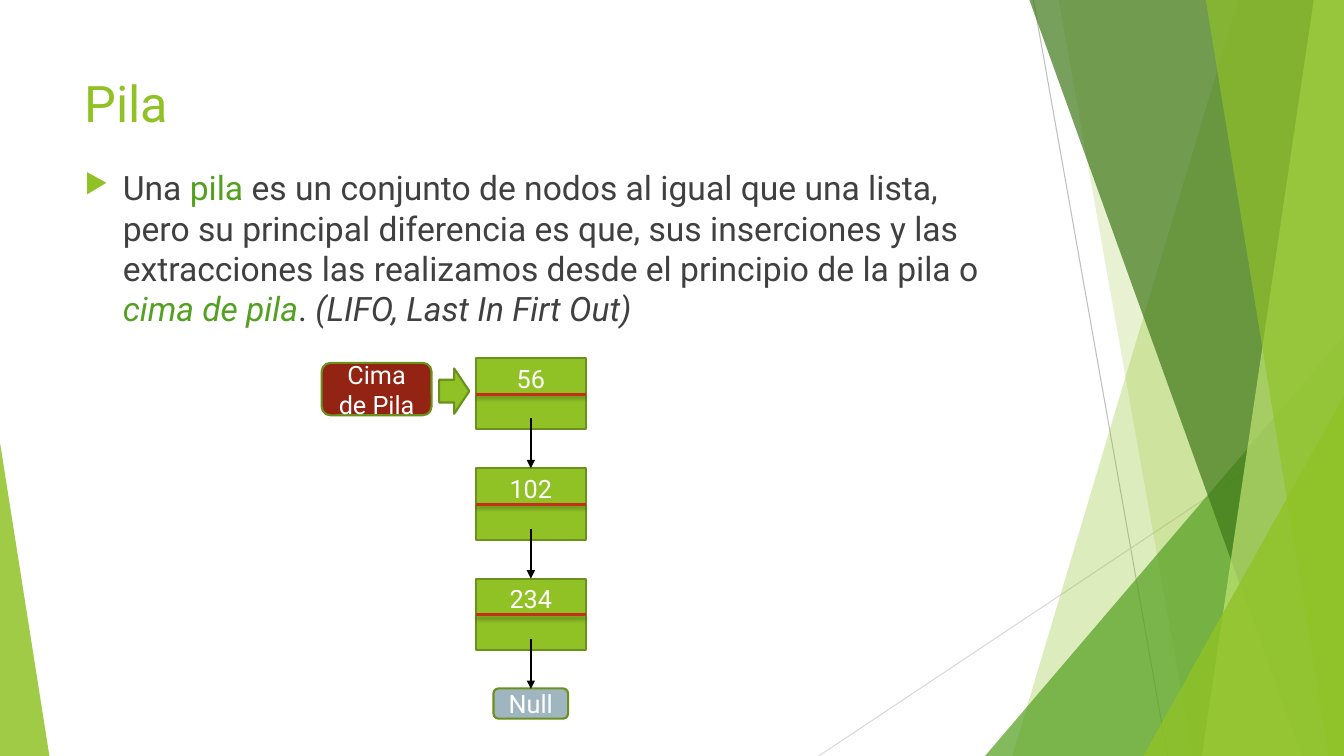
from lxml.etree import SubElement
from pptx import Presentation
from pptx.dml.color import RGBColor
from pptx.enum.shapes import MSO_CONNECTOR, MSO_SHAPE
from pptx.enum.text import MSO_ANCHOR, PP_ALIGN
from pptx.oxml.ns import qn
from pptx.util import Inches, Pt

FONT = "Roboto"
GREEN = RGBColor(0x90, 0xC2, 0x26)
MID_GREEN = RGBColor(0x54, 0xA0, 0x21)
DARK_GREEN = RGBColor(0x3F, 0x78, 0x19)
LIGHT_GREEN = RGBColor(0xC0, 0xE4, 0x74)
OUTLINE = RGBColor(0x6B, 0x90, 0x1C)
DARK_RED = RGBColor(0x93, 0x23, 0x13)
RED = RGBColor(0xC4, 0x2F, 0x1A)
BLUE_GRAY = RGBColor(0x9F, 0xB6, 0xC0)
TEXT = RGBColor(0x40, 0x40, 0x40)
GRAY = RGBColor(0xBF, 0xBF, 0xBF)
PALE_GRAY = RGBColor(0xD9, 0xD9, 0xD9)
WHITE = RGBColor(0xFF, 0xFF, 0xFF)
BLACK = RGBColor(0, 0, 0)
WIDTH, HEIGHT = 13.33, 7.5


def set_fill(sp, color, alpha=100):
    """Fill a shape with a colour at the given opacity in percent."""
    sp.shadow.inherit = False
    sp.fill.solid()
    sp.fill.fore_color.rgb = color
    if alpha < 100:
        clr = sp.fill._xPr.find(qn("a:solidFill"))[0]
        SubElement(clr, qn("a:alpha"), val=str(alpha * 1000))


def set_font(r, size, color, italic=False):
    """Format one run."""
    r.font.name = FONT
    r.font.size = Pt(size)
    r.font.color.rgb = color
    r.font.italic = italic


def add_line(slide, start, end, color, width, arrow=False, shadow=False):
    """Draw a straight line, with an optional arrowhead or soft shadow."""
    line = slide.shapes.add_connector(
        MSO_CONNECTOR.STRAIGHT, *(Inches(v) for v in (*start, *end)))
    line.line.color.rgb = color
    line.line.width = Pt(width)
    spPr = line._element.spPr
    if arrow:
        SubElement(spPr.find(qn("a:ln")), qn("a:tailEnd"), type="triangle")
    effects = SubElement(spPr, qn("a:effectLst"))
    if shadow:
        outer = SubElement(effects, qn("a:outerShdw"), blurRad=str(Pt(3)),
                           dist=str(Pt(2)), dir="5400000", rotWithShape="0")
        clr = SubElement(outer, qn("a:srgbClr"), val=str(BLACK))
        SubElement(clr, qn("a:alpha"), val="35000")


def add_box(slide, kind, box, color, text="", anchor=MSO_ANCHOR.MIDDLE):
    """Add an outlined shape with centred white text."""
    sp = slide.shapes.add_shape(kind, *(Inches(v) for v in box))
    set_fill(sp, color)
    sp.line.color.rgb = OUTLINE
    sp.line.width = Pt(1.5)
    if text:
        tf = sp.text_frame
        tf.word_wrap = True
        tf.vertical_anchor = anchor
        tf.text = text
        p = tf.paragraphs[0]
        p.alignment = PP_ALIGN.CENTER
        set_font(p.runs[0], 18, WHITE)
    return sp


def add_band(slide, top_x, bottom_x, color, alpha):
    """Add a full-height band from a slanted left edge to the right side."""
    points = [(top_x, 0), (WIDTH, 0), (WIDTH, HEIGHT), (bottom_x, HEIGHT)]
    points = [(Inches(x), Inches(y)) for x, y in points]
    builder = slide.shapes.build_freeform(*points[0])
    builder.add_line_segments(points[1:], close=True)
    sp = builder.convert_to_shape()
    set_fill(sp, color, alpha)
    sp.line.fill.background()


def add_corner(slide, left, top, width, apex, color, alpha):
    """Add a right triangle standing on the bottom edge of the slide."""
    sp = slide.shapes.add_shape(
        MSO_SHAPE.ISOSCELES_TRIANGLE, Inches(left), Inches(top),
        Inches(width), Inches(HEIGHT - top))
    sp.adjustments[0] = apex
    set_fill(sp, color, alpha)
    sp.line.fill.background()


def add_facets(slide):
    """Draw the green decoration along both sides."""
    add_line(slide, (10.25, 0), (11.58, HEIGHT), GRAY, 0.75)
    add_line(slide, (WIDTH, 4.03), (8.12, HEIGHT), PALE_GRAY, 0.75)
    add_band(slide, 12.28, 10.04, GREEN, 30)
    add_band(slide, 10.5, 11.83, GREEN, 20)
    add_corner(slide, 9.77, 3.33, 3.56, 1, MID_GREEN, 72)
    add_band(slide, 10.21, 12.91, DARK_GREEN, 70)
    add_band(slide, 13.03, 11.92, LIGHT_GREEN, 70)
    add_band(slide, 11.96, 13.18, GREEN, 65)
    add_corner(slide, 11.34, 3.93, 1.99, 1, GREEN, 80)
    add_corner(slide, 0, 4.39, 0.49, 0, GREEN, 85)


def add_text(slide, box, size, runs):
    """Add a wrapped text box with one paragraph of (text, colour, italic) runs."""
    tf = slide.shapes.add_textbox(*(Inches(v) for v in box)).text_frame
    tf.word_wrap = True
    p = tf.paragraphs[0]
    for text, color, italic in runs:
        r = p.add_run()
        r.text = text
        set_font(r, size, color, italic)
    return p


def add_definition(slide, box):
    """Add the bulleted definition of a stack."""
    p = add_text(slide, box, 24, [
        ("Una ", TEXT, False),
        ("pila", MID_GREEN, False),
        (" es un conjunto de nodos al igual que una lista, pero su principal "
         "diferencia es que, sus inserciones y las extracciones las realizamos "
         "desde el principio de la pila o ", TEXT, False),
        ("cima de pila", MID_GREEN, True),
        (". ", TEXT, False),
        ("(LIFO, Last In Firt Out)", TEXT, True),
    ])
    p.space_before = Pt(10)
    pPr = p._p.get_or_add_pPr()
    pPr.set("marL", str(Inches(0.38)))
    pPr.set("indent", str(Inches(-0.38)))
    SubElement(SubElement(pPr, qn("a:buClr")), qn("a:srgbClr"), val=str(GREEN))
    SubElement(pPr, qn("a:buSzPct"), val="80000")
    SubElement(pPr, qn("a:buChar"), char="▶")


def add_stack(slide, left, top):
    """Draw the linked nodes, the top marker and the closing Null."""
    width, height, step = 1.09, 0.71, 1.095
    center = left + width / 2
    values = ["56", "102", "234"]
    for i, value in enumerate(values):
        add_box(slide, MSO_SHAPE.RECTANGLE, (left, top + i * step, width, height),
                GREEN, value, MSO_ANCHOR.TOP)
    add_box(slide, MSO_SHAPE.ROUNDED_RECTANGLE,
            (left - 1.53, top + 0.05, width, 0.52), DARK_RED, "Cima de Pila")
    add_box(slide, MSO_SHAPE.ROUNDED_RECTANGLE,
            (center - 0.37, top + 3.28, 0.74, 0.3), BLUE_GRAY, "Null")
    pointer = add_box(slide, MSO_SHAPE.DOWN_ARROW,
                      (left - 0.44, top + 0.18, 0.45, 0.3), GREEN)
    pointer.rotation = 270
    for i in range(len(values)):
        y = top + i * step
        add_line(slide, (left, y + 0.36), (left + width, y + 0.36), RED, 2,
                 shadow=True)
        add_line(slide, (center, y + 0.6), (center, y + step), BLACK, 1,
                 arrow=True)


def main():
    """Build the slide and save it."""
    prs = Presentation()
    prs.slide_width, prs.slide_height = Inches(WIDTH), Inches(HEIGHT)
    slide = prs.slides.add_slide(prs.slide_layouts[6])
    add_facets(slide)
    add_text(slide, (0.74, 0.67, 9.4, 1.44), 36, [("Pila", GREEN, False)])
    add_definition(slide, (0.74, 1.61, 9.4, 5))
    add_stack(slide, 4.72, 3.55)
    prs.save("out.pptx")


if __name__ == "__main__":
    main()
